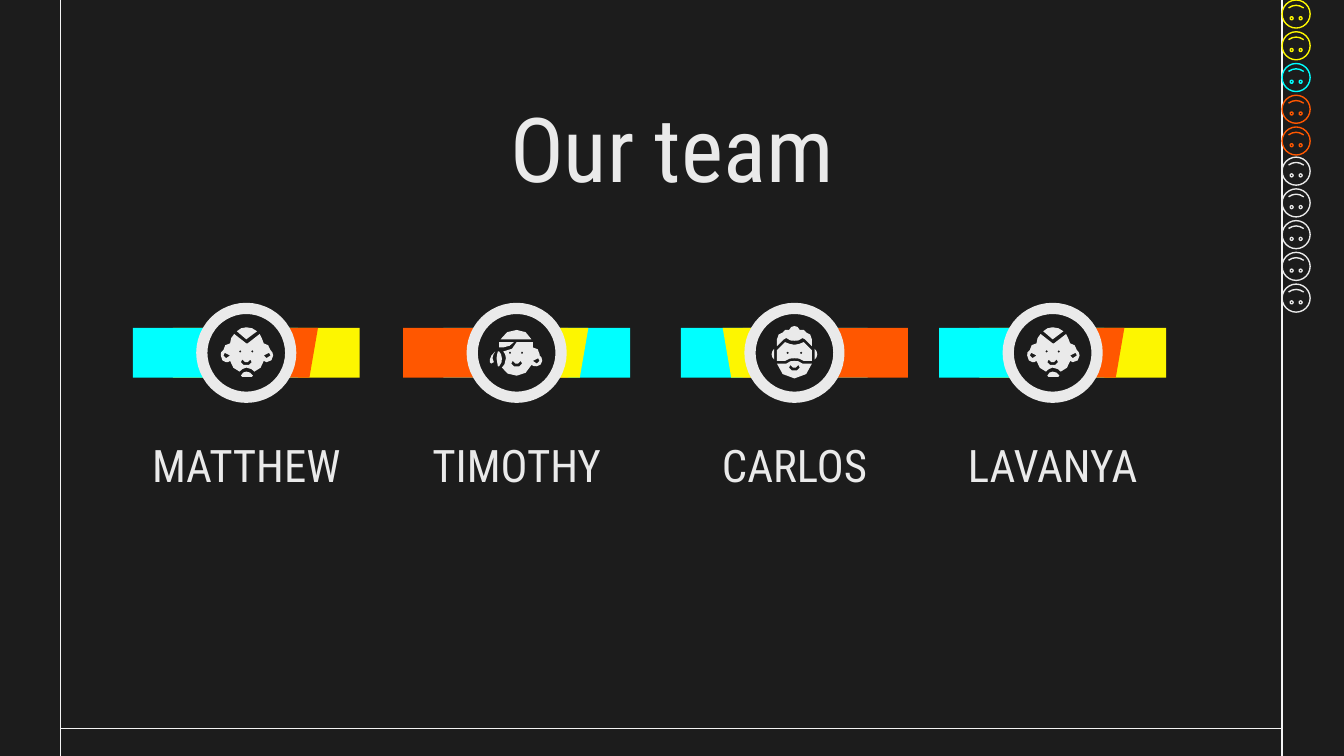
"""Build the "Our team" slide with four badges and names."""
from math import dist
from typing import NamedTuple

from lxml.etree import SubElement
from pptx import Presentation
from pptx.dml.color import RGBColor
from pptx.enum.shapes import MSO_CONNECTOR as Link, MSO_SHAPE as Kind
from pptx.enum.text import MSO_ANCHOR as Anchor, MSO_AUTO_SIZE as Fit, PP_ALIGN as Align
from pptx.oxml.ns import qn
from pptx.util import Cm, Pt

DARK = RGBColor(0x1C, 0x1C, 0x1C)
LIGHT = RGBColor(0xEA, 0xEA, 0xEA)
RULE = RGBColor(0xF3, 0xF3, 0xF3)
CYAN = RGBColor(0x00, 0xFF, 0xFF)
RED = RGBColor(0xFF, 0x57, 0x00)
GOLD = RGBColor(0xFD, 0xF6, 0x00)
FONT = "Roboto Condensed"
UNIT = 9144
BAR_TOP, BAR_WIDE, BAR_HIGH = 6.2, 4.29, 0.94
DISC = 1.68


def eye(x: float, y: float) -> str:
    """Return the outline of a small eye."""
    return f"M{x} {y - 1} L{x + 1} {y} L{x} {y + 1} L{x - 1} {y} "


def smile(y: float) -> str:
    """Return the outline of a mouth whose corners start at y."""
    return (f"M3 {y} L4 {y + 2} L2 {y + 4} L-2 {y + 4} L-4 {y + 2} L-3 {y} "
            f"L-1 {y + 2} L1 {y + 2} ")


GOATEE = (
    "M0 14 C-2 14 -3 15 -4 17 L-3 18 L4 18 L5 17 C4 15 2 14 0 14 "
    "M0 -19 C-3 -19 -5 -18 -7 -16 L0 -10 L8 -16 C6 -18 3 -19 0 -19 "
    "M-9 -14 C-11 -12 -12 -10 -12 -7 C-15 -7 -17 -5 -17 -2 C-19 -1 -19 0 -19 2 "
    "C-19 5 -17 7 -15 7 C-14 7 -13 7 -12 6 C-11 10 -9 13 -5 14 C-4 13 -2 11 0 11 "
    "C3 11 5 13 6 14 C10 13 12 10 13 6 C13 6 14 7 15 7 C18 7 20 5 20 2 "
    "C20 0 19 -1 18 -2 C18 -5 15 -7 13 -7 C12 -10 11 -12 10 -14 L1 -7 L0 -7 "
    "M-16 0 L-12 2 L-15 4 L-17 2 M17 0 L18 2 L15 4 L13 2 "
    + eye(-4.5, -1) + eye(4.5, -1) + smile(5)
)
BRAID = (
    "M0 -17 C-5 -17 -10 -15 -12 -10 L11 -10 C9 -15 5 -17 0 -17 "
    "M-13 -8 L-13 -4 L-10 -4 C-6 -4 -4 -6 -2 -8 "
    "M-16 -1 C-18 1 -20 3 -20 5 L-20 7 L-19 8 L-17 7 C-17 6 -18 5 -18 4 C-18 2 -17 1 -16 -1 "
    "M-13 -1 L-14 -1 C-14 0 -15 2 -15 4 C-15 6 -14 8 -14 10 L-13 10 "
    "C-11 8 -11 6 -11 4 C-11 2 -12 0 -13 -1 "
    "M0 -8 C-1 -4 -5 -1 -10 -1 C-9 0 -8 2 -8 4 C-8 8 -10 10 -11 11 C-9 15 -5 17 0 17 "
    "C5 17 9 14 11 9 C12 10 13 10 15 10 C17 10 19 8 19 6 C19 4 18 2 17 2 L17 1 "
    "C17 -2 15 -4 12 -4 L12 -8 M16 4 L17 6 L15 8 L12 6 "
    + eye(-5, 0) + eye(4, 0) + smile(6)
)
MASK = (
    "M-15 -3 C-16 -2 -17 -1 -17 1 C-17 3 -16 4 -15 5 "
    "M15 -3 C16 -2 17 -1 17 1 C17 3 16 4 15 5 "
    "M-7 -8 L-13 -2 L-13 6 L-7 6 C-5 4 -2 4 0 4 C2 4 5 4 7 6 L13 6 L13 -2 L7 -8 "
    "C5 -7 2 -6 0 -6 C-2 -6 -5 -7 -7 -8 "
    "M0 -20 C-2 -20 -3 -19 -4 -17 C-6 -18 -8 -17 -9 -15 C-11 -15 -13 -13 -13 -10 "
    "L-13 -5 L-8 -10 L-6 -11 C-4 -9 -2 -9 0 -9 C2 -9 4 -9 6 -11 "
    "L8 -10 L13 -5 L13 -10 C13 -13 11 -15 9 -15 C8 -17 6 -18 4 -17 C3 -19 2 -20 0 -20 "
    "M0 6 C-2 6 -4 6 -6 8 L-13 8 C-12 14 -7 19 0 19 C7 19 12 14 13 8 L6 8 C4 6 2 6 0 6 "
    + eye(-5, 0) + eye(5, 0) + smile(9)
)


class Mate(NamedTuple):
    name: str
    left: float
    face: str
    wide: RGBColor
    slant: RGBColor
    end: RGBColor
    flip: bool = False


TEAM = (
    Mate("MATTHEW", 2.51, GOATEE, CYAN, RED, GOLD),
    Mate("TIMOTHY", 7.62, BRAID, RED, GOLD, CYAN),
    Mate("CARLOS", 12.87, MASK, RED, GOLD, CYAN, True),
    Mate("LAVANYA", 17.75, GOATEE, CYAN, RED, GOLD),
)


def write(box, text: str, *, size: float, after: float = 0) -> None:
    """Put centred light text into a box."""
    frame = box.text_frame
    frame.word_wrap, frame.auto_size = True, Fit.NONE
    frame.vertical_anchor = Anchor.TOP
    frame.margin_left = frame.margin_right = Cm(0.25)
    frame.margin_top = frame.margin_bottom = Cm(0.25)
    para = frame.paragraphs[0]
    para.alignment, para.space_after = Align.CENTER, Pt(after)
    run = para.add_run()
    run.text = text
    run.font.name, run.font.size = FONT, Pt(size)
    run.font.color.rgb = LIGHT


def paint(shape, fill: RGBColor | None, line: RGBColor | None = None, width: float = 0.75) -> None:
    """Set the fill and line of a shape."""
    shape.shadow.inherit = False
    if fill is None:
        shape.fill.background()
    else:
        shape.fill.solid()
        shape.fill.fore_color.rgb = fill
    if line is None:
        shape.line.fill.background()
    else:
        shape.line.color.rgb, shape.line.width = line, Pt(width)


def rule(shapes, x1: float, y1: float, x2: float, y2: float) -> None:
    """Draw one thin frame line."""
    line = shapes.add_connector(Link.STRAIGHT, Cm(x1), Cm(y1), Cm(x2), Cm(y2))
    line.line.color.rgb, line.line.width = RULE, Pt(0.75)
    SubElement(line._element.spPr, qn("a:effectLst"))


def trace(outline: str) -> list[tuple[int, int]]:
    """Turn one outline of lines and curves into points."""
    pts: list[tuple[float, float]] = []
    for part in outline.replace("C", "|C").replace("L", "|L").split("|"):
        nums = [float(n) for n in part.strip(" CL").split()]
        ends = list(zip(nums[::2], nums[1::2]))
        if part.startswith("C") and dist(pts[-1], ends[-1]) > 3:
            curve = [pts[-1], *ends]
            pts.append(tuple(sum(m * p[i] for m, p in zip((1, 3, 3, 1), curve)) / 8 for i in (0, 1)))
        pts.append(ends[-1])
    return [(round(x * UNIT), round(y * UNIT)) for x, y in pts]


def draw_face(shapes, face: str, x: float, y: float) -> None:
    """Draw a face around a centre."""
    first, *rest = [trace(part) for part in face.split("M")[1:]]
    pen = shapes.build_freeform(*first[0])
    pen.add_line_segments(first[1:], close=True)
    for pts in rest:
        pen.move_to(*pts[0])
        pen.add_line_segments(pts[1:], close=True)
    paint(pen.convert_to_shape(Cm(x), Cm(y)), LIGHT)


def draw_mate(shapes, mate: Mate) -> None:
    """Draw the bar, badge, face and name of one person."""
    bars = ((Kind.RECTANGLE, 0.76, 3.53, mate.end),
            (Kind.RECTANGLE, 0, 3.12, mate.wide),
            (Kind.FLOWCHART_DATA, 2.69, 0.81, mate.slant))
    for kind, shift, wide, fill in bars:
        x = mate.left + (BAR_WIDE - shift - wide if mate.flip else shift)
        bar = shapes.add_shape(kind, Cm(x), Cm(BAR_TOP), Cm(wide), Cm(BAR_HIGH))
        paint(bar, fill)
        if mate.flip:
            bar._element.spPr.xfrm.set("flipH", "1")
    x, y = mate.left + BAR_WIDE / 2, BAR_TOP + BAR_HIGH / 2
    disc = shapes.add_shape(Kind.OVAL, Cm(x - DISC / 2), Cm(y - DISC / 2), Cm(DISC), Cm(DISC))
    paint(disc, DARK, LIGHT, 6)
    draw_face(shapes, mate.face, x, y)
    box = shapes.add_textbox(Cm(x - 2.49), Cm(8.03), Cm(4.98), Cm(1.32))
    write(box, mate.name, size=24, after=16)


def main() -> None:
    """Build and save the slide."""
    deck = Presentation()
    deck.slide_width, deck.slide_height = Cm(25.4), Cm(14.29)
    slide = deck.slides.add_slide(deck.slide_layouts[5])
    slide.background.fill.solid()
    slide.background.fill.fore_color.rgb = DARK
    shapes = slide.shapes
    for x in (1.14, 24.23):
        rule(shapes, x, 0, x, 14.29)
    rule(shapes, 24.23, 13.77, 1.14, 13.77)
    for top, tints in ((0, (GOLD, GOLD, CYAN, RED, RED)), (2.97, (LIGHT,) * 5)):
        for row, tint in enumerate(tints):
            mark = shapes.add_shape(Kind.SMILEY_FACE, Cm(24.23), Cm(top + row * 0.6), Cm(0.53), Cm(0.53))
            mark.rotation = 180
            paint(mark, None, tint)
    title = shapes.title
    title.left, title.top, title.width, title.height = Cm(1.98), Cm(1.5), Cm(21.44), Cm(1.7)
    write(title, "Our team", size=48)
    for mate in TEAM:
        draw_mate(shapes, mate)
    deck.save("out.pptx")


if __name__ == "__main__":
    main()
